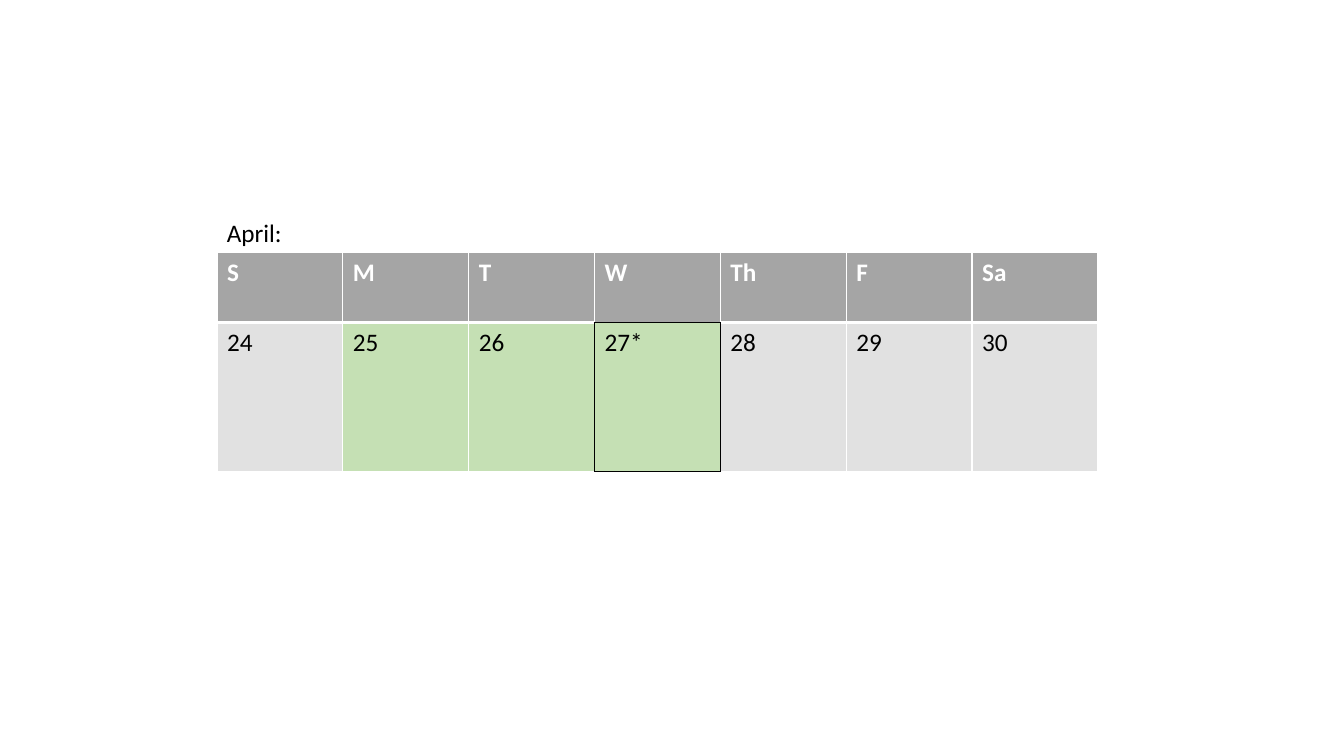
from lxml import etree
from pptx import Presentation
from pptx import util as u
from pptx.dml.color import RGBColor
from pptx.enum import text
from pptx.oxml import ns

WHITE = RGBColor(0xFF, 0xFF, 0xFF)
BLACK = RGBColor(0x00, 0x00, 0x00)
HEADER = RGBColor(0xA5, 0xA5, 0xA5)
DAY = RGBColor(0xE1, 0xE1, 0xE1)
MARKED = RGBColor(0xC5, 0xE0, 0xB4)

WEEKDAYS = ["S", "M", "T", "W", "Th", "F", "Sa"]
DATES = ["24", "25", "26", "27*", "28", "29", "30"]
MARKED_DATES = ["25", "26", "27*"]
FRAMED = (1, DATES.index("27*"))
SIDES = {"L": (0, -1), "R": (0, 1), "T": (-1, 0), "B": (1, 0)}


class Page:
    font = {"name": "Calibri", "size": u.Pt(18), "bold": False}

    def __init__(self, prs):
        self.s = prs.slides.add_slide(prs.slide_layouts[6])

    def add_words(self, tf, words, color, **changes):
        p = tf.paragraphs[0]
        r = p.add_run()
        r.text = words
        for name, value in {**self.font, **changes}.items():
            setattr(r.font, name, value)
        r.font.color.rgb = color

    def label(self, words, x, y, w, h):
        sp = self.s.shapes.add_textbox(u.Pt(x), u.Pt(y), u.Pt(w), u.Pt(h))
        tf = sp.text_frame
        tf.word_wrap = True
        tf.auto_size = text.MSO_AUTO_SIZE.SHAPE_TO_FIT_TEXT
        self.add_words(tf, words, BLACK)

    def border(self, cell, side, color, width):
        tc_pr = cell._tc.get_or_add_tcPr()
        ln = etree.SubElement(tc_pr, ns.qn(f"a:ln{side}"), w=str(u.Pt(width)))
        fill = etree.SubElement(ln, ns.qn("a:solidFill"))
        etree.SubElement(fill, ns.qn("a:srgbClr"), val=str(color))

    def calendar(self, x, y, col_width, row_heights):
        rows = [WEEKDAYS, DATES]
        frame = self.s.shapes.add_table(
            len(rows), len(WEEKDAYS), u.Pt(x), u.Pt(y),
            u.Pt(col_width * len(WEEKDAYS)), u.Pt(sum(row_heights)))
        table = frame.table
        for col in table.columns:
            col.width = u.Pt(col_width)
        for i, (values, height) in enumerate(zip(rows, row_heights)):
            table.rows[i].height = u.Pt(height)
            for j, value in enumerate(values):
                self.day(table.cell(i, j), i, j, value)

    def day(self, cell, i, j, value):
        header = i == 0
        for side, (di, dj) in SIDES.items():
            framed = FRAMED in ((i, j), (i + di, j + dj))
            thick = header and side == "B" and not framed
            self.border(cell, side, BLACK if framed else WHITE, 3 if thick else 1)
        cell.fill.solid()
        cell.fill.fore_color.rgb = (
            HEADER if header else MARKED if value in MARKED_DATES else DAY)
        self.add_words(cell.text_frame, value, WHITE if header else BLACK, bold=header)


def main():
    prs = Presentation()
    prs.slide_width, prs.slide_height = u.Pt(960), u.Pt(540)
    page = Page(prs)
    page.calendar(155, 180, 89.9, [50.4, 106.6])
    page.label("April:", 155, 151.5, 144, 29)
    prs.save("out.pptx")


if __name__ == "__main__":
    main()
